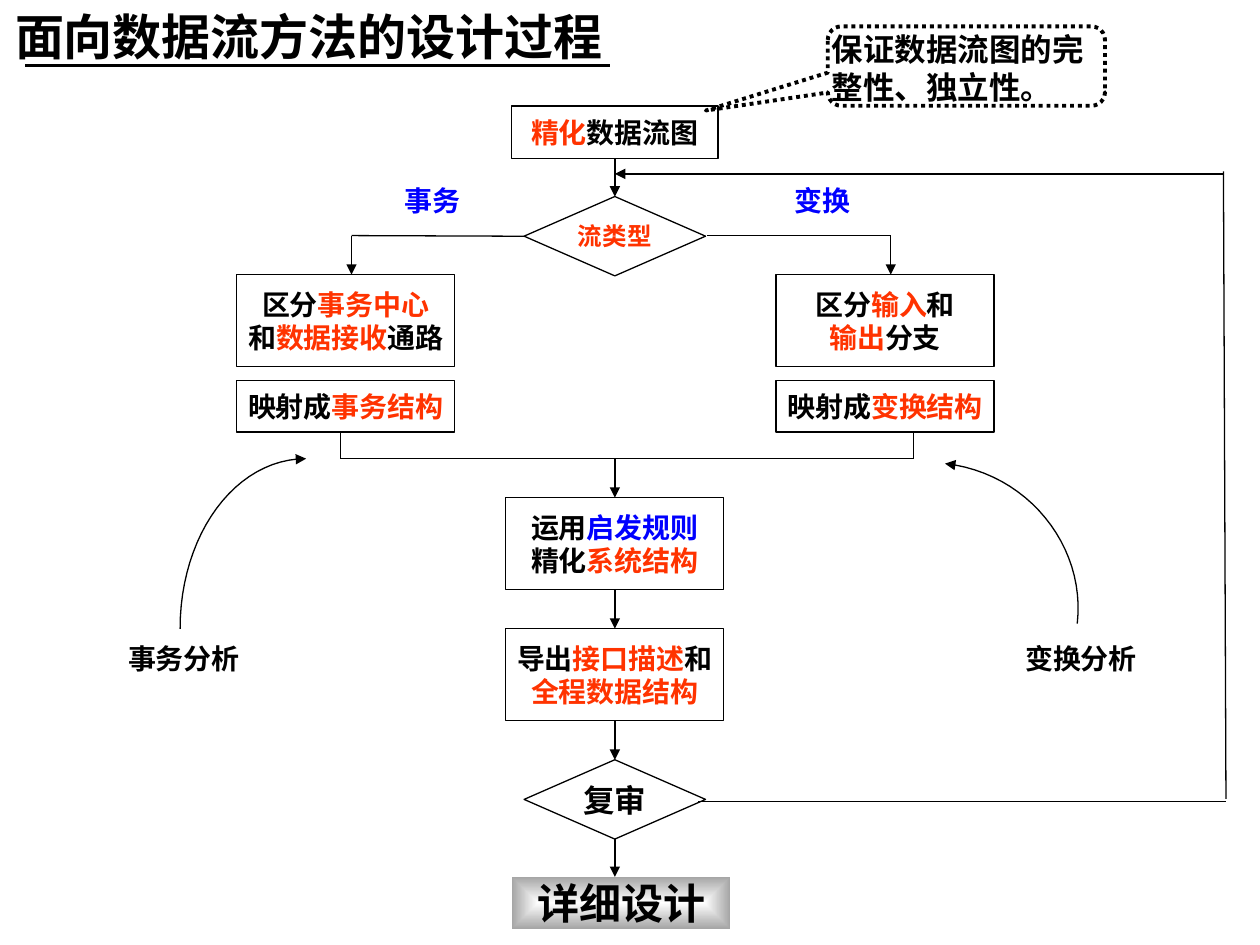
from lxml import etree
from pptx import Presentation
from pptx import util as u
from pptx.dml.color import RGBColor
from pptx.enum import dml, shapes, text
from pptx.oxml.ns import qn

BLACK, RED, BLUE = "000000", "FF3300", "0000FF"
LATIN, CJK = "Roboto", "Noto Sans CJK SC"
rgb = RGBColor.from_string
kind = shapes.MSO_SHAPE

prs = Presentation()
prs.slide_width, prs.slide_height = u.Inches(10), u.Inches(7.5)
col, row = prs.slide_width / 100, prs.slide_height / 75
slide = prs.slides.add_slide(prs.slide_layouts[6])


def write(s, lines, size, font=LATIN, align=text.PP_ALIGN.CENTER,
          anchor=text.MSO_ANCHOR.MIDDLE, wrap=False):
    tf = s.text_frame
    tf.margin_left = tf.margin_right = tf.margin_top = tf.margin_bottom = 0
    tf.word_wrap = wrap
    tf.vertical_anchor = anchor
    for i, line in enumerate(lines):
        p = tf.add_paragraph() if i else tf.paragraphs[0]
        p.alignment = align
        for words, color in line:
            r = p.add_run()
            r.text = words
            r.font.name = font
            r.font.size = u.Pt(size)
            r.font.bold = True
            r.font.color.rgb = rgb(color)
            etree.SubElement(r.font._element, qn("a:ea"), typeface=CJK)


def stroke(s, width=0.75, arrow=False, dash=None):
    s.line.color.rgb = rgb(BLACK)
    s.line.width = u.Pt(width)
    if dash:
        s.line.dash_style = dash
    pr = s._element.spPr
    if arrow:
        etree.SubElement(pr.find(qn("a:ln")), qn("a:tailEnd"), type="triangle")
    etree.SubElement(pr, qn("a:effectLst"))


labels = [
    (1.2, 0.5, 50.4, 4.7, "面向数据流方法的设计过程", 28, BLACK, CJK, text.PP_ALIGN.LEFT),
    (31.6, 14.6, 5.5, 2.7, "事务", 16, BLUE, LATIN, text.PP_ALIGN.CENTER),
    (62.5, 14.6, 5.5, 2.7, "变换", 16, BLUE, LATIN, text.PP_ALIGN.CENTER),
    (8.3, 50.9, 12.6, 2.7, "事务分析", 16, BLACK, LATIN, text.PP_ALIGN.CENTER),
    (79.8, 50.9, 12, 2.7, "变换分析", 16, BLACK, LATIN, text.PP_ALIGN.CENTER),
]
for x, y, w, h, words, size, color, font, align in labels:
    s = slide.shapes.add_textbox(*map(int, (x * col, y * row, w * col, h * row)))
    write(s, [[(words, color)]], size, font, align, text.MSO_ANCHOR.TOP, True)
    s.text_frame.auto_size = text.MSO_AUTO_SIZE.SHAPE_TO_FIT_TEXT

left, mid, right = 27.45, 48.8, 70.25
nodes = [
    ("refine", kind.RECTANGLE, mid, 8.4, 16.4, 4.2, 16,
     [[("精化", RED), ("数据流图", BLACK)]]),
    ("type", kind.FLOWCHART_DECISION, mid, 15.6, 14.4, 6.3, 14,
     [[("流类型", RED)]]),
    ("centre", kind.RECTANGLE, left, 21.8, 17.3, 7.3, 16,
     [[("区分", BLACK), ("事务中心", RED)],
      [("和", BLACK), ("数据接收", RED), ("通路", BLACK)]]),
    ("transaction", kind.RECTANGLE, left, 30.2, 17.3, 4.1, 16,
     [[("映射成", BLACK), ("事务结构", RED)]]),
    ("branches", kind.RECTANGLE, right, 21.8, 17.3, 7.3, 16,
     [[("区分", BLACK), ("输入", RED), ("和", BLACK)],
      [("输出", RED), ("分支", BLACK)]]),
    ("transform", kind.RECTANGLE, right, 30.2, 17.3, 4.1, 16,
     [[("映射成", BLACK), ("变换结构", RED)]]),
    ("rules", kind.RECTANGLE, mid, 39.5, 17.3, 7.3, 16,
     [[("运用", BLACK), ("启发规则", BLUE)],
      [("精化", BLACK), ("系统结构", RED)]]),
    ("export", kind.RECTANGLE, mid, 49.9, 17.3, 7.3, 16,
     [[("导出", BLACK), ("接口描述", RED), ("和", BLACK)],
      [("全程数据结构", RED)]]),
    ("review", kind.FLOWCHART_DECISION, mid, 60.3, 14.4, 6.3, 18,
     [[("复审", BLACK)]]),
    ("detail", kind.RECTANGLE, mid + 0.5, 69.6, 17.3, 4.1, 24,
     [[("详细设计", BLACK)]]),
]
boxes = {}
for name, shape, cx, y, w, h, size, lines in nodes:
    s = slide.shapes.add_shape(
        shape, *map(int, ((cx - w / 2) * col, y * row, w * col, h * row)))
    write(s, lines, size)
    boxes[name] = s
    if name != "detail":
        s.fill.background()
        stroke(s)

s = boxes["detail"]
s.shadow.inherit = False
s.line.fill.background()
s.fill.gradient()
for stop, color in zip(s.fill.gradient_stops, ("FFFFFF", "A6A6A6")):
    stop.color.rgb = rgb(color)
grad = s._element.spPr.find(qn("a:gradFill"))
grad.remove(grad.find(qn("a:lin")))
shade = etree.SubElement(grad, qn("a:path"), path="shape")
etree.SubElement(shade, qn("a:fillToRect"), l="50000", t="50000", r="50000", b="50000")

links = [
    (mid, 12.6, mid, 15.6, True, ("refine", 2), ("type", 0)),
    (41.6, 18.7, 27.9, 18.7, False, ("type", 1), None),
    (27.9, 18.7, 27.9, 21.8, True, None, None),
    (70.7, 18.7, 56.1, 18.7, False, None, None),
    (70.7, 18.7, 70.7, 21.8, True, None, None),
    (27, 34.3, 27, 36.4, False, None, None),
    (27, 36.4, 72.5, 36.4, False, None, None),
    (72.5, 34.3, 72.5, 36.4, False, None, None),
    (mid, 36.4, mid, 39.5, True, None, ("rules", 0)),
    (mid, 46.8, mid, 49.9, True, ("rules", 2), ("export", 0)),
    (mid, 57.2, mid, 60.3, True, ("export", 2), ("review", 0)),
    (mid, 66.6, mid, 69.6, True, ("review", 2), None),
    (55.4, 63.6, 97.3, 63.6, False, None, None),
    (97.3, 63.4, 97.1, 13.6, False, None, None),
    (97.1, 13.8, mid, 13.8, True, None, None),
]
for x1, y1, x2, y2, arrow, start, end in links:
    s = slide.shapes.add_connector(
        shapes.MSO_CONNECTOR.STRAIGHT,
        *map(int, (x1 * col, y1 * row, x2 * col, y2 * row)))
    if start:
        s.begin_connect(boxes[start[0]], start[1])
    if end:
        s.end_connect(boxes[end[0]], end[1])
    stroke(s, arrow=arrow)

curves = [
    [(14.3, 49.9), (14.3, 42.4), (18.7, 36.4), (24.3, 36.4)],
    [(85.5, 49.5), (86.2, 43.3), (81.5, 37.5), (75, 36.8)],
]
steps = 24
for curve in curves:
    points = []
    for i in range(steps + 1):
        t = i / steps
        weights = ((1 - t) ** 3, 3 * t * (1 - t) ** 2, 3 * t * t * (1 - t), t ** 3)
        points.append((sum(k * x for k, (x, y) in zip(weights, curve)) * col,
                       sum(k * y for k, (x, y) in zip(weights, curve)) * row))
    path = slide.shapes.build_freeform(*points[0])
    path.add_line_segments(points[1:], close=False)
    s = path.convert_to_shape()
    s.fill.background()
    stroke(s, arrow=True)

s = slide.shapes.add_shape(
    kind.ROUNDED_RECTANGULAR_CALLOUT,
    *map(int, (65.7 * col, 2.1 * row, 22 * col, 6.3 * row)))
for i, value in enumerate((-0.94, 0.56, 0.17)):
    s.adjustments[i] = value
s.fill.background()
stroke(s, 2.25, dash=dml.MSO_LINE.ROUND_DOT)
write(s, [[("保证数据流图的完整性、独立性。", BLACK)]], 18,
      align=text.PP_ALIGN.LEFT, anchor=text.MSO_ANCHOR.TOP, wrap=True)

s = slide.shapes.add_connector(
    shapes.MSO_CONNECTOR.STRAIGHT,
    *map(int, (2 * col, 5.2 * row, 48.4 * col, 5.2 * row)))
stroke(s, 2.25)

prs.save("out.pptx")
